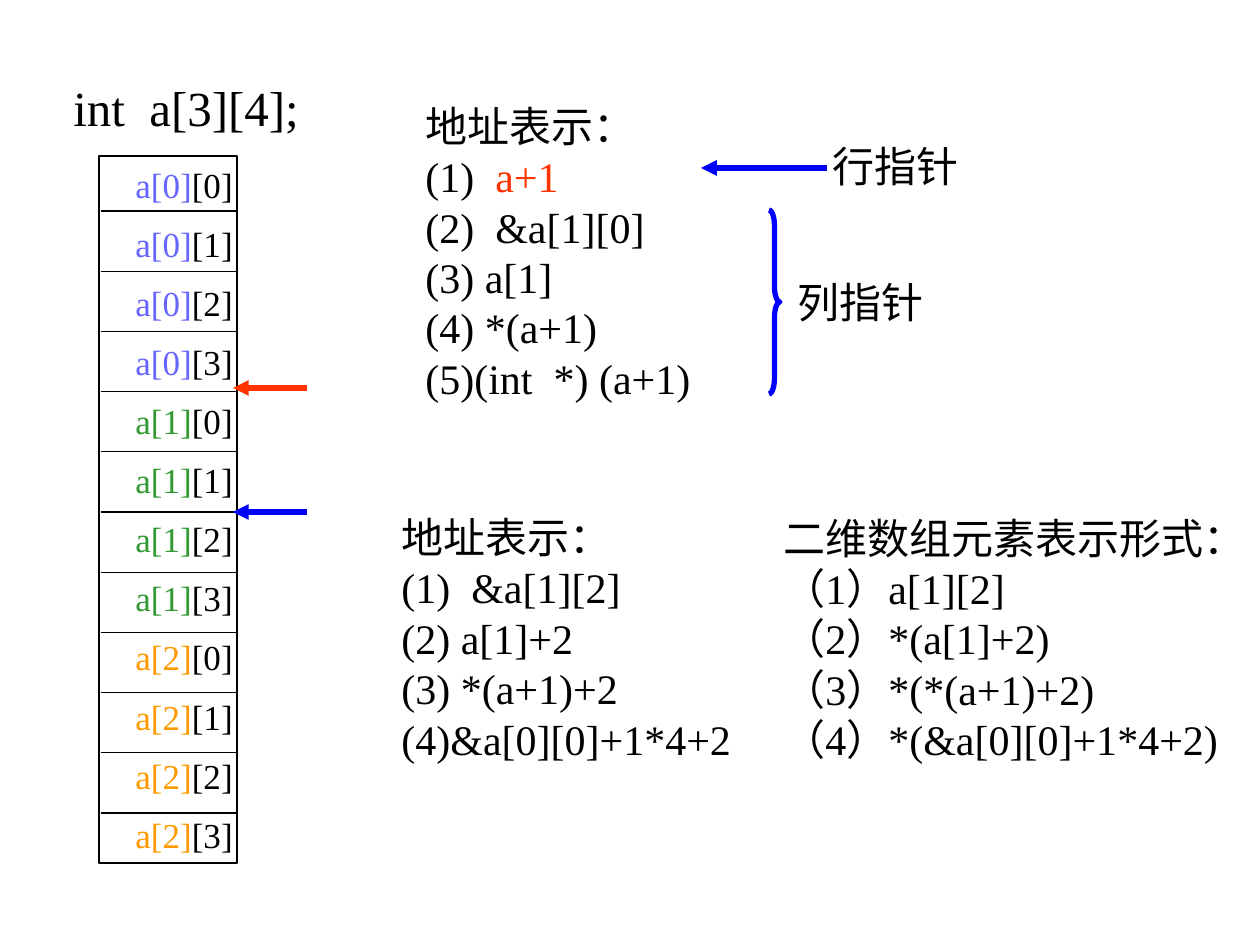
from lxml import etree
from pptx import Presentation
from pptx.dml.color import RGBColor
from pptx.enum.shapes import MSO_CONNECTOR, MSO_SHAPE
from pptx.enum.text import MSO_ANCHOR, MSO_AUTO_SIZE, PP_ALIGN
from pptx.oxml.ns import qn
from pptx.util import Emu, Pt

STRAIGHT = MSO_CONNECTOR.STRAIGHT
RECTANGLE, RIGHT_BRACE = MSO_SHAPE.RECTANGLE, MSO_SHAPE.RIGHT_BRACE
TOP, MIDDLE = MSO_ANCHOR.TOP, MSO_ANCHOR.MIDDLE
LEFT, CENTER = PP_ALIGN.LEFT, PP_ALIGN.CENTER
FIT_SHAPE = MSO_AUTO_SIZE.SHAPE_TO_FIT_TEXT

EMU_PER_PX = 914400 / 126
FONT = "Times New Roman"
BLACK, RED, BLUE = "000000", "FF3300", "0000FF"

DECLARATION = "int  a[3][4];"
ROW_COLORS = ["6666FF", "339933", "FF9900"]
COLUMNS = 4
CELLS = [[(f"a[{row}]", color), (f"[{column}]", BLACK)]
         for row, color in enumerate(ROW_COLORS) for column in range(COLUMNS)]

# A line is either a plain string or a list of (text, colour) runs.
LISTS = [
    ((413, 94, 292, 315), MIDDLE,
     ["地址表示：", [("(1)  ", BLACK), ("a+1", RED)], "(2)  &a[1][0]",
      "(3) a[1]", "(4) *(a+1)", "(5)(int  *) (a+1)"]),
    ((389, 505, 358, 265), MIDDLE,
     ["地址表示：", "(1)  &a[1][2]", "(2) a[1]+2", "(3) *(a+1)+2",
      "(4)&a[0][0]+1*4+2"]),
    ((771, 506, 492, 265), TOP,
     ["二维数组元素表示形式：", "（1）a[1][2]", "（2）*(a[1]+2)",
      "（3）*(*(a+1)+2)", "（4）*(&a[0][0]+1*4+2)"]),
]
MEMORY_ARROWS = [(388, RED), (512, BLUE)]

MEMORY_BOX = (99, 156, 138, 707)
FIRST_DIVIDER, LAST_DIVIDER = 211, 813
FIRST_CELL, LAST_CELL = 157, 807


def px(value):
    return Emu(round(value * EMU_PER_PX))


def rgb(color):
    return RGBColor.from_string(color)


def add_text(shapes, box, lines, size=24, anchor=TOP, align=LEFT):
    text_box = shapes.add_textbox(*map(px, box))
    frame = text_box.text_frame
    frame.word_wrap = False
    frame.auto_size = FIT_SHAPE
    frame.vertical_anchor = anchor
    for index, line in enumerate(lines):
        paragraph = frame.add_paragraph() if index else frame.paragraphs[0]
        paragraph.alignment = align
        paragraph.font.size = Pt(size)
        paragraph.font.name = FONT
        for text, color in [(line, BLACK)] if isinstance(line, str) else line:
            run = paragraph.add_run()
            run.text = text
            run.font.color.rgb = rgb(color)


def add_line(shapes, start_x, end_x, y, color=BLACK, width=0.75, arrow=False):
    connector = shapes.add_connector(STRAIGHT, px(start_x), px(y), px(end_x), px(y))
    connector.line.color.rgb = rgb(color)
    connector.line.width = Pt(width)
    if arrow:
        etree.SubElement(connector.line._get_or_add_ln(), qn("a:tailEnd"), type="triangle")
    etree.SubElement(connector._element.spPr, qn("a:effectLst"))


def add_outline(shapes, kind, box, color, width):
    shape = shapes.add_shape(kind, *map(px, box))
    shape.shadow.inherit = False
    shape.fill.background()
    shape.line.color.rgb = rgb(color)
    shape.line.width = Pt(width)
    return shape


def add_memory_layout(slide):
    shapes = slide.shapes.add_group_shape().shapes
    add_text(shapes, (61, 71, 253, 72), [DECLARATION], size=28)
    add_outline(shapes, RECTANGLE, MEMORY_BOX, BLACK, 0.75)
    divider_step = (LAST_DIVIDER - FIRST_DIVIDER) / (len(CELLS) - 2)
    cell_step = (LAST_CELL - FIRST_CELL) / (len(CELLS) - 1)
    for index, cell in enumerate(CELLS):
        if index:
            add_line(shapes, 101, 238, FIRST_DIVIDER + (index - 1) * divider_step)
        add_text(shapes, (123, FIRST_CELL + index * cell_step, 126, 55), [cell], size=20)


def add_pointer_labels(slide):
    row_pointer = slide.shapes.add_group_shape().shapes
    add_line(row_pointer, 827, 701, 168, BLUE, 3, arrow=True)
    add_text(row_pointer, (820, 134, 151, 63), ["行指针"], anchor=MIDDLE, align=CENTER)

    column_pointer = slide.shapes.add_group_shape().shapes
    brace = add_outline(column_pointer, RIGHT_BRACE, (769, 210, 11, 184), BLUE, 3)
    brace.adjustments[0] = 1.4
    add_text(column_pointer, (785, 270, 151, 63), ["列指针"], anchor=MIDDLE, align=CENTER)


def main():
    presentation = Presentation()
    presentation.slide_width, presentation.slide_height = px(1260), px(945)
    blank_layout = presentation.slide_layouts[6]
    slide = presentation.slides.add_slide(blank_layout)
    add_memory_layout(slide)
    for box, anchor, lines in LISTS:
        add_text(slide.shapes, box, lines, anchor=anchor)
    add_pointer_labels(slide)
    for y, color in MEMORY_ARROWS:
        add_line(slide.shapes, 307, 233, y, color, 3, arrow=True)
    presentation.save("out.pptx")


if __name__ == "__main__":
    main()
